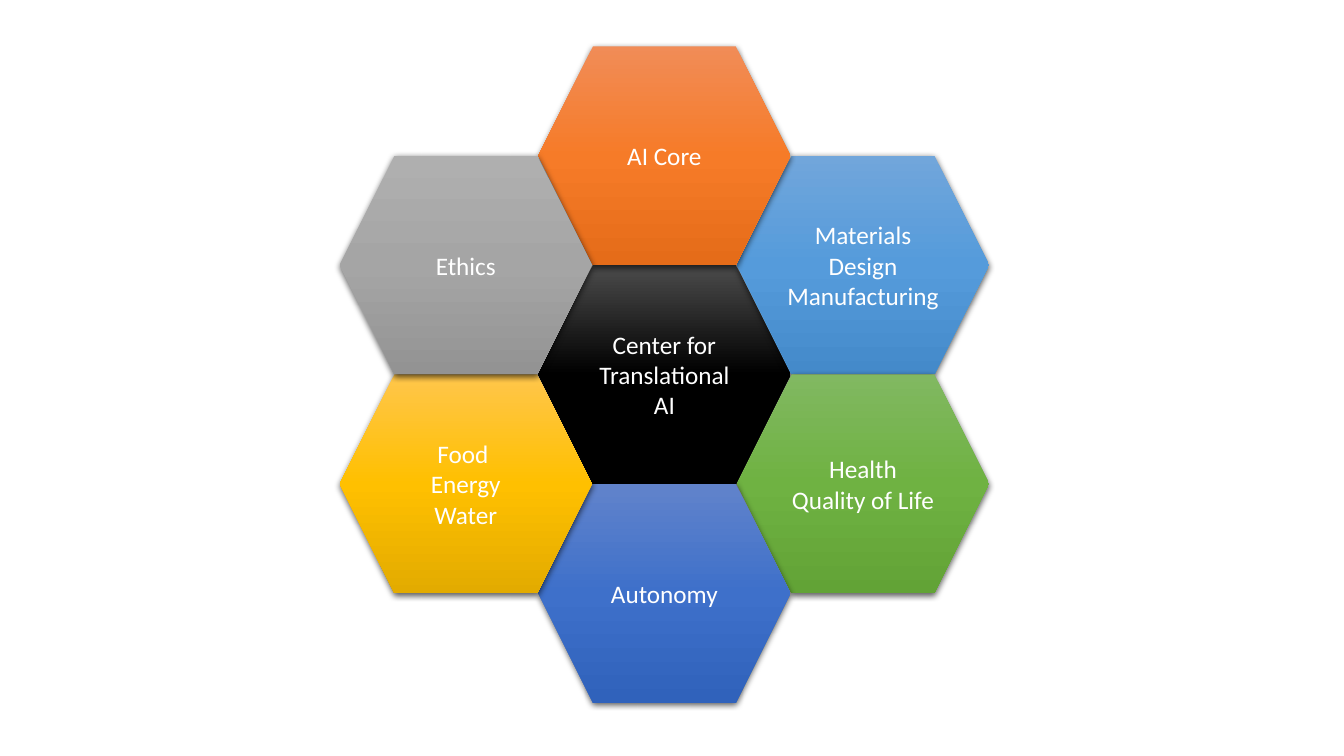
from copy import deepcopy

from lxml import etree
from pptx import Presentation
from pptx.dml.color import RGBColor
from pptx.enum.shapes import MSO_SHAPE
from pptx.enum.text import MSO_ANCHOR, PP_ALIGN
from pptx.oxml.ns import qn
from pptx.util import Inches, Pt

HEXAGON = MSO_SHAPE.HEXAGON
MIDDLE = MSO_ANCHOR.MIDDLE
CENTER = PP_ALIGN.CENTER
BLANK_LAYOUT = 6

WHITE = RGBColor(0xFF, 0xFF, 0xFF)
BLACK = (RGBColor(0x4B, 0x4B, 0x4B), RGBColor(0, 0, 0), RGBColor(0, 0, 0))
BLUE = (RGBColor(0x71, 0xA6, 0xDB), RGBColor(0x55, 0x9B, 0xDB), RGBColor(0x44, 0x8A, 0xCA))
ORANGE = (RGBColor(0xF1, 0x8C, 0x57), RGBColor(0xF6, 0x7B, 0x28), RGBColor(0xE5, 0x6C, 0x19))
GREEN = (RGBColor(0x81, 0xB8, 0x61), RGBColor(0x6F, 0xB2, 0x42), RGBColor(0x62, 0xA3, 0x36))
INDIGO = (RGBColor(0x61, 0x83, 0xCB), RGBColor(0x3E, 0x70, 0xCA), RGBColor(0x30, 0x62, 0xBB))
GOLD = (RGBColor(0xFF, 0xC6, 0x4B), RGBColor(0xFF, 0xC0, 0x00), RGBColor(0xE3, 0xAB, 0x00))
GRAY = (RGBColor(0xAF, 0xAF, 0xAF), RGBColor(0xA5, 0xA5, 0xA5), RGBColor(0x93, 0x93, 0x93))

# Honeycomb grid: rows are half a hexagon apart, so neighbours share edges
CELL_WIDTH, CELL_HEIGHT = 2.5, 2.17
COLUMN_STEP, ROW_STEP = 1.97, CELL_HEIGHT / 2
CENTER_LEFT, CENTER_TOP = 5.34, 2.63

# Column and row relative to the centre, gradient, paragraphs
CELLS = [
    (0, 0, BLACK, ["Center for Translational AI"]),
    (1, -1, BLUE, ["Materials Design Manufacturing"]),
    (0, -2, ORANGE, ["AI Core"]),
    (1, 1, GREEN, ["Health", "Quality of Life"]),
    (0, 2, INDIGO, ["Autonomy"]),
    (-1, 1, GOLD, ["Food ", "Energy", "Water"]),
    (-1, -1, GRAY, ["Ethics"]),
]


def fill_downward(shape, colors):
    """Fill with a top-to-bottom gradient of three evenly spaced colours."""
    shape.fill.gradient()
    shape.fill.gradient_angle = 270
    stop_list = shape._element.spPr.find(qn("a:gradFill")).find(qn("a:gsLst"))
    middle_stop = deepcopy(stop_list[0])
    middle_stop.set("pos", "50000")
    stop_list.insert(1, middle_stop)
    for stop, color in zip(shape.fill.gradient_stops, colors):
        stop.color.rgb = color


def add_soft_shadow(shape):
    shape.shadow.inherit = False
    effects = shape._element.spPr.find(qn("a:effectLst"))
    shadow = etree.SubElement(
        effects, qn("a:outerShdw"), blurRad=str(Pt(4.5)), dist=str(Pt(1.5)),
        dir="5400000", algn="ctr", rotWithShape="0")
    color = etree.SubElement(shadow, qn("a:srgbClr"), val="000000")
    etree.SubElement(color, qn("a:alpha"), val="63000")


presentation = Presentation()
presentation.slide_width = Inches(13.33)
presentation.slide_height = Inches(7.5)
slide = presentation.slides.add_slide(presentation.slide_layouts[BLANK_LAYOUT])
honeycomb = slide.shapes.add_group_shape()

for column, row, colors, lines in CELLS:
    cell = honeycomb.shapes.add_shape(
        HEXAGON,
        Inches(CENTER_LEFT + column * COLUMN_STEP),
        Inches(CENTER_TOP + row * ROW_STEP),
        Inches(CELL_WIDTH), Inches(CELL_HEIGHT))
    fill_downward(cell, colors)
    cell.line.fill.background()
    add_soft_shadow(cell)

    text_frame = cell.text_frame
    text_frame.word_wrap = True
    text_frame.vertical_anchor = MIDDLE
    for index, line in enumerate(lines):
        paragraph = text_frame.add_paragraph() if index else text_frame.paragraphs[0]
        paragraph.alignment = CENTER
        run = paragraph.add_run()
        run.text = line
        run.font.name = "Calibri"
        run.font.size = Pt(18)
        run.font.color.rgb = WHITE

presentation.save("out.pptx")
